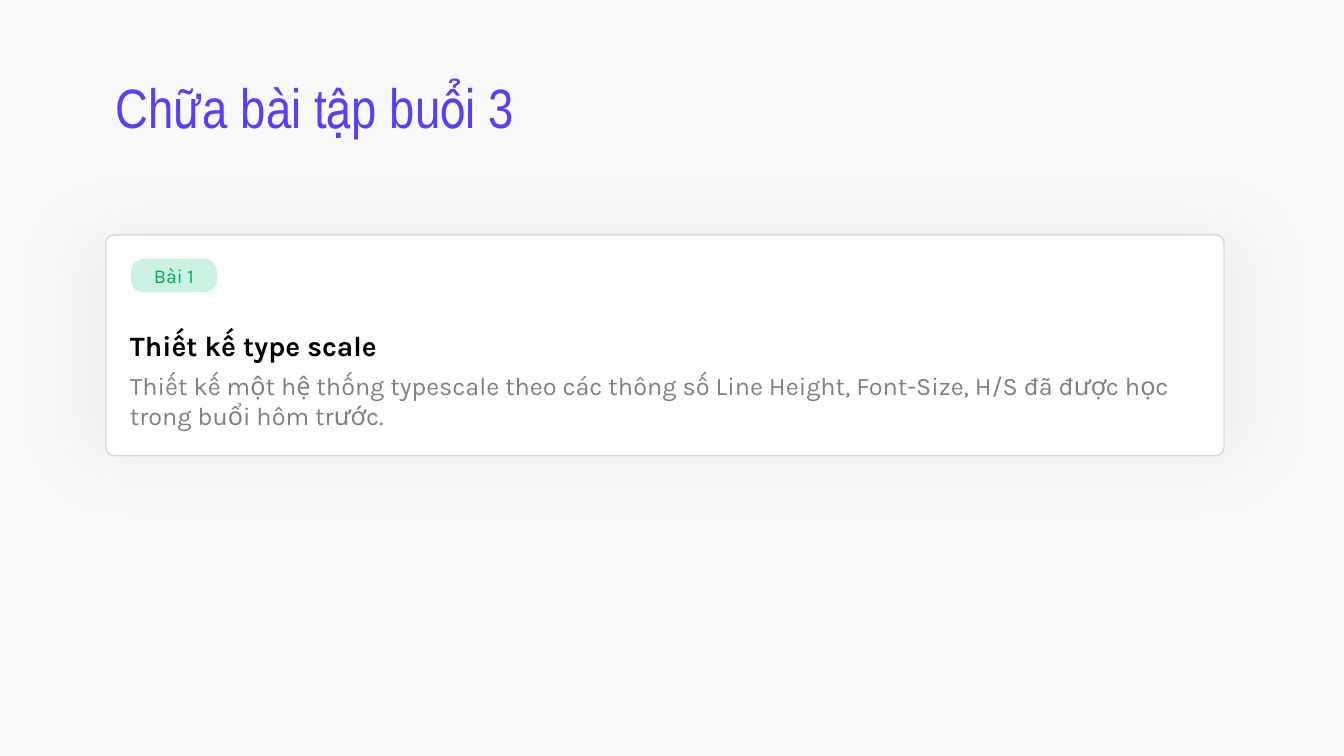
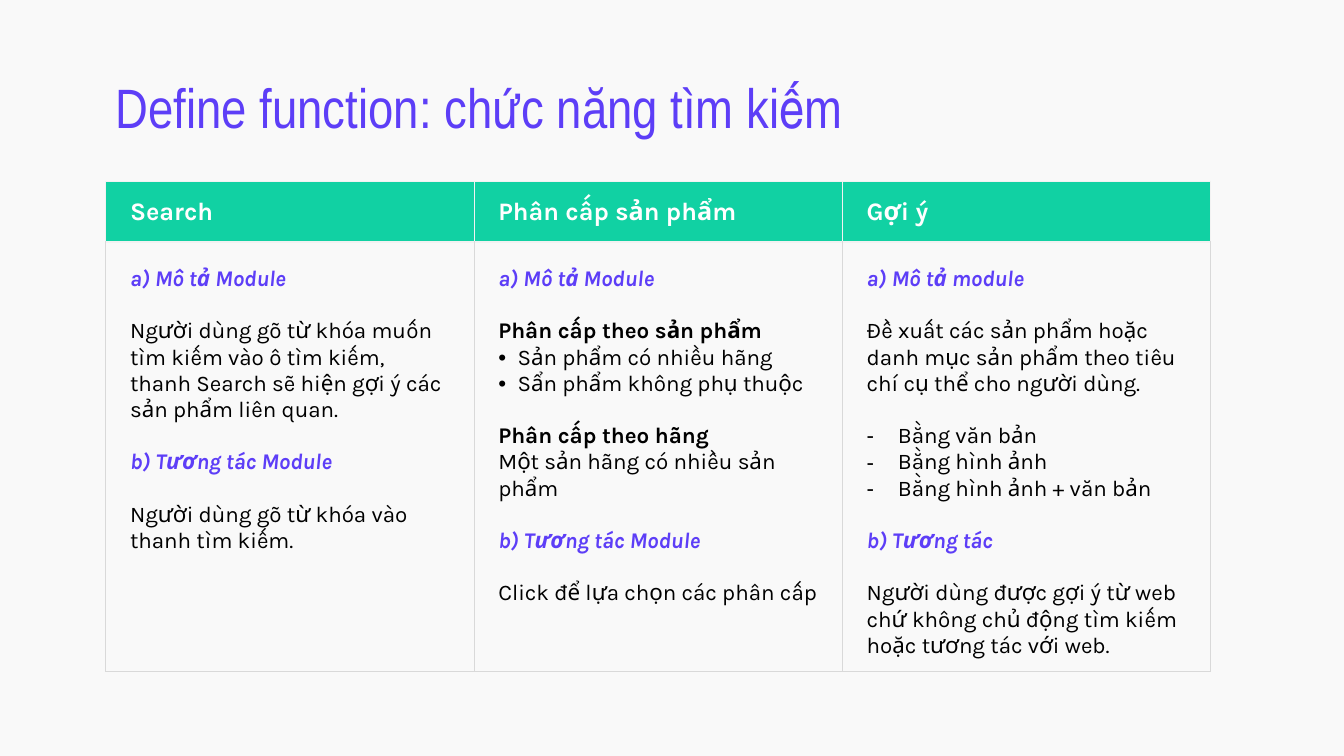
import pptx
import pptx.util
import pptx.dml.color
import pptx.enum.shapes
import pptx.enum.text
import pptx.oxml.ns
import lxml.etree

Inches, Pt = pptx.util.Inches, pptx.util.Pt
ANCHOR, ALIGN = pptx.enum.text.MSO_ANCHOR, pptx.enum.text.PP_ALIGN
ROUND_RECT = pptx.enum.shapes.MSO_SHAPE.ROUNDED_RECTANGLE

PAGE, PURPLE, GREEN = "F9F9F9", "5D3EF7", "11D1A3"
WHITE, BLACK, GREY, RULE, HEAD_RULE = "FFFFFF", "000000", "808080", "D9D9D9", "F2F2F2"
PILL, PILL_TEXT = "CBF1E3", "00B050"
TITLE_FONT, BODY_FONT = "Arial Narrow", "Karla"
LEFT = 1.05
BLOCK_GAP = 18.7

# Run format, then bullet character and hanging indent
STYLES = {
    "head": (dict(color=PURPLE, bold=True, italic=True), None, 0),
    "bold": (dict(bold=True), None, 0),
    "text": ({}, None, 0),
    "dot": ({}, "•", 0.19),
    "dash": ({}, "-", 0.31),
}

# Each column: a header and blocks of (style, text) paragraphs
COLUMNS = [
    ("Search", [
        [("head", "a) Mô tả Module")],
        [("text", "Người dùng gõ từ khóa muốn tìm kiếm vào ô tìm kiếm, "
                  "thanh Search sẽ hiện gợi ý các sản phẩm liên quan.")],
        [("head", "b) Tương tác Module")],
        [("text", "Người dùng gõ từ khóa vào thanh tìm kiếm.")],
    ]),
    ("Phân cấp sản phẩm", [
        [("head", "a) Mô tả Module")],
        [("bold", "Phân cấp theo sản phẩm"),
         ("dot", "Sản phẩm có nhiều hãng"),
         ("dot", "Sẩn phẩm không phụ thuộc")],
        [("bold", "Phân cấp theo hãng"),
         ("text", "Một sản hãng có nhiều sản phẩm")],
        [("head", "b) Tương tác Module")],
        [("text", "Click để lựa chọn các phân cấp")],
    ]),
    ("Gợi ý", [
        [("head", "a) Mô tả module")],
        [("text", "Đề xuất các sản phẩm hoặc danh mục sản phẩm theo tiêu chí "
                  "cụ thể cho người dùng.")],
        [("dash", "Bằng văn bản"),
         ("dash", "Bằng hình ảnh"),
         ("dash", "Bằng hình ảnh + văn bản")],
        [("head", "b) Tương tác")],
        [("text", "Người dùng được gợi ý từ web chứ không chủ động tìm kiếm "
                  "hoặc tương tác với web.")],
    ]),
]


def rgb(value):
    return pptx.dml.color.RGBColor.from_string(value)


def add_xml(parent, tag, **attrs):
    return lxml.etree.SubElement(parent, pptx.oxml.ns.qn(tag), attrs)


def write(p, text, size=16, font=BODY_FONT, color=BLACK, bold=False, italic=False):
    r = p.add_run()
    r.text = text
    r.font.name, r.font.size = font, Pt(size)
    r.font.bold, r.font.italic = bold, italic
    r.font.color.rgb = rgb(color)


def text_box(shapes, x, y, w, h, text, anchor=ANCHOR.TOP, spacing=1.0, **fmt):
    tf = shapes.add_textbox(Inches(x), Inches(y), Inches(w), Inches(h)).text_frame
    tf.word_wrap = True
    tf.vertical_anchor = anchor
    p = tf.paragraphs[0]
    p.line_spacing = spacing
    write(p, text, **fmt)


def round_box(shapes, x, y, w, h, fill, radius, line=None):
    sp = shapes.add_shape(ROUND_RECT, Inches(x), Inches(y), Inches(w), Inches(h))
    sp.adjustments[0] = radius
    sp.shadow.inherit = False
    sp.fill.solid()
    sp.fill.fore_color.rgb = rgb(fill)
    if line:
        sp.line.color.rgb = rgb(line)
        sp.line.width = Pt(1)
    else:
        sp.line.fill.background()
    return sp


def soft_shadow(sp):
    """Add a faint, centred glow of shadow slightly larger than the shape."""
    effects = sp.element.spPr.find(pptx.oxml.ns.qn("a:effectLst"))
    shadow = add_xml(effects, "a:outerShdw", blurRad=str(Pt(54)), dist="0", dir="0",
                     sx="105000", sy="105000", algn="ctr", rotWithShape="0")
    color = add_xml(shadow, "a:srgbClr", val=BLACK)
    add_xml(color, "a:alpha", val="3000")


def titled_slide(prs, title):
    s = prs.slides.add_slide(prs.slide_layouts[6])
    text_box(s.shapes, LEFT, 0.73, 11.5, 0.74, title, anchor=ANCHOR.MIDDLE,
             spacing=0.9, size=39.6, font=TITLE_FONT, color=PURPLE)
    return s


def exercise_card(s, x, y, w, h, label, heading, body):
    shapes = s.shapes.add_group_shape().shapes
    soft_shadow(round_box(shapes, x, y, w, h, WHITE, 0.036, RULE))
    pill = round_box(shapes, x + 0.25, y + 0.24, 0.85, 0.33, PILL, 0.363)
    tf = pill.text_frame
    tf.margin_top = tf.margin_bottom = 0
    tf.vertical_anchor = ANCHOR.MIDDLE
    tf.paragraphs[0].alignment = ALIGN.CENTER
    write(tf.paragraphs[0], label, size=14, color=PILL_TEXT)
    text_box(shapes, x + 0.14, y + 1.29, w - 0.35, 0.71, body, size=18, color=GREY)
    text_box(shapes, x + 0.14, y + 0.88, w - 0.7, 0.44, heading, size=20, bold=True)


def format_cell(cell, fill, margins, sides, top):
    """Set fill, margins (left, top, right, bottom) and border colours."""
    cell.fill.solid()
    cell.fill.fore_color.rgb = rgb(fill)
    (cell.margin_left, cell.margin_top,
     cell.margin_right, cell.margin_bottom) = map(Inches, margins)
    tcPr = cell._tc.get_or_add_tcPr()
    borders = [("a:lnL", sides), ("a:lnR", sides), ("a:lnT", top), ("a:lnB", sides)]
    for i, (tag, color) in enumerate(borders):
        ln = add_xml(tcPr, tag, w=str(Pt(1)))
        add_xml(add_xml(ln, "a:solidFill"), "a:srgbClr", val=color)
        tcPr.insert(i, ln)


def write_blocks(tf, blocks):
    p = None
    for block in blocks:
        for i, (style, text) in enumerate(block):
            first = p is None
            p = tf.paragraphs[0] if first else tf.add_paragraph()
            if i == 0 and not first:
                p.space_before = Pt(BLOCK_GAP)
            fmt, bullet, indent = STYLES[style]
            if bullet:
                pPr = p._p.get_or_add_pPr()
                pPr.set("marL", str(Inches(indent)))
                pPr.set("indent", str(-Inches(indent)))
                add_xml(pPr, "a:buFont", typeface="Arial")
                add_xml(pPr, "a:buChar", char=bullet)
            write(p, text, **fmt)


def module_table(s, x, y, w, row_heights, columns):
    table = s.shapes.add_table(2, len(columns), Inches(x), Inches(y), Inches(w),
                               Inches(sum(row_heights))).table
    table.first_row = table.horz_banding = False
    for row, height in zip(table.rows, row_heights):
        row.height = Inches(height)
    for i, (header, blocks) in enumerate(columns):
        table.columns[i].width = Inches(w / len(columns))
        head, body = table.cell(0, i), table.cell(1, i)
        format_cell(head, GREEN, (0.24, 0.05, 0.1, 0.05), HEAD_RULE, HEAD_RULE)
        head.vertical_anchor = ANCHOR.MIDDLE
        write(head.text_frame.paragraphs[0], header, size=18, color=WHITE, bold=True)
        format_cell(body, PAGE, (0.24, 0.24, 0.24, 0.05), RULE, HEAD_RULE)
        write_blocks(body.text_frame, blocks)


def main():
    prs = pptx.Presentation()
    prs.slide_width, prs.slide_height = Inches(13.33), Inches(7.5)
    background = prs.slide_master.background.fill
    background.solid()
    background.fore_color.rgb = rgb(PAGE)

    s = titled_slide(prs, "Chữa bài tập buổi 3")
    exercise_card(s, LEFT, 2.33, 11.09, 2.19, "Bài 1", "Thiết kế type scale",
                  "Thiết kế một hệ thống typescale theo các thông số Line Height, "
                  "Font-Size, H/S đã được học trong buổi hôm trước.")

    s = titled_slide(prs, "Define function: chức năng tìm kiếm")
    module_table(s, LEFT, 1.8, 10.96, (0.6, 4.19), COLUMNS)

    prs.save("out.pptx")


if __name__ == "__main__":
    main()
